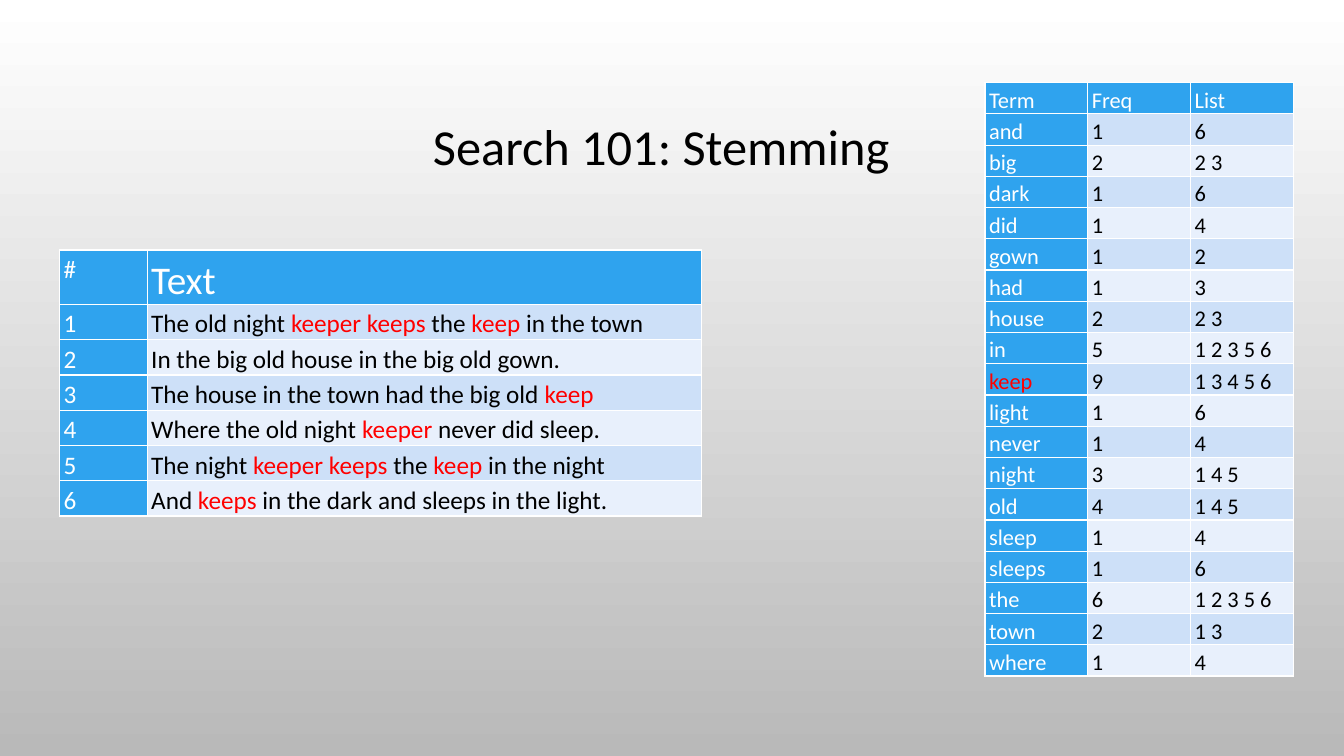
import pptx
import pptx.util
import pptx.dml.color
import pptx.enum.text
import pptx.oxml

TITLE = "Search 101: Stemming"
SENTENCES = [
    ("#", "Text"),
    ("1", "The old night *keeper keeps *the *keep* in the town"),
    ("2", "In the big old house in the big old gown."),
    ("3", "The house in the town had the big old *keep"),
    ("4", "Where the old night *keeper* never did sleep."),
    ("5", "The night *keeper keeps *the *keep* in the night"),
    ("6", "And *keeps* in the dark and sleeps in the light."),
]
TERMS = [
    ("Term", "Freq", "List"),
    ("and", "1", "6"),
    ("big", "2", "2 3"),
    ("dark", "1", "6"),
    ("did", "1", "4"),
    ("gown", "1", "2"),
    ("had", "1", "3"),
    ("house", "2", "2 3"),
    ("in", "5", "1 2 3 5 6"),
    ("*keep", "9", "1 3 4 5 6"),
    ("light", "1", "6"),
    ("never", "1", "4"),
    ("night", "3", "1 4 5"),
    ("old", "4", "1 4 5"),
    ("sleep", "1", "4"),
    ("sleeps", "1", "6"),
    ("the", "6", "1 2 3 5 6"),
    ("town", "2", "1 3"),
    ("where", "1", "4"),
]
FONT = "Calibri"
WHITE, BLACK, RED, BLUE = "FFFFFF", "000000", "FF0000", "2FA3EE"
BANDS = ("E8F0FC", "CDE0F8")
BACKDROP = (WHITE, "B9B9B9")
INCH = pptx.util.Inches


def rgb(value):
    return pptx.dml.color.RGBColor.from_string(value)


def add_runs(p, text, size, color):
    for i, part in enumerate(text.split("*")):
        if part:
            r = p.add_run()
            r.text = part
            r.font.name = FONT
            r.font.size = pptx.util.Pt(size)
            r.font.bold = False
            r.font.color.rgb = rgb(RED if i % 2 else color)


def add_borders(cell):
    tcPr = cell._tc.get_or_add_tcPr()
    for side in "LRTB":
        tcPr.append(pptx.oxml.parse_xml(
            f'<a:ln{side} xmlns:a="http://schemas.openxmlformats.org/drawingml/2006/main" w="12700">'
            f'<a:solidFill><a:srgbClr val="{WHITE}"/></a:solidFill></a:ln{side}>'))


def add_grid(s, rows, left, top, widths, header_height, row_height, size, header_sizes):
    heights = [header_height] + [row_height] * (len(rows) - 1)
    table = s.shapes.add_table(len(rows), len(widths), INCH(left), INCH(top),
                               INCH(sum(widths)), INCH(sum(heights))).table
    table.first_row = table.horz_banding = False
    for column, width in zip(table.columns, widths):
        column.width = INCH(width)
    for i, (row, height) in enumerate(zip(rows, heights)):
        table.rows[i].height = INCH(height)
        for j, text in enumerate(row):
            cell = table.cell(i, j)
            heading = i == 0 or j == 0
            cell.margin_left = cell.margin_right = INCH(0.04)
            cell.margin_top = cell.margin_bottom = 0
            add_borders(cell)
            cell.fill.solid()
            cell.fill.fore_color.rgb = rgb(BLUE if heading else BANDS[i % 2])
            p = cell.text_frame.paragraphs[0]
            p.line_spacing = 1.15
            add_runs(p, text, size if i else header_sizes[j], WHITE if heading else BLACK)


prs = pptx.Presentation()
prs.slide_width, prs.slide_height = INCH(13.33), INCH(7.5)
s = prs.slides.add_slide(prs.slide_layouts[6])

fill = s.background.fill
fill.gradient()
fill.gradient_angle = 270
for stop, position, color in zip(fill.gradient_stops, (0, 1), BACKDROP):
    stop.position = position
    stop.color.rgb = rgb(color)

tf = s.shapes.add_textbox(INCH(0.56), INCH(1.07), INCH(12), INCH(0.83)).text_frame
tf.word_wrap = True
tf.vertical_anchor = pptx.enum.text.MSO_ANCHOR.MIDDLE
p = tf.paragraphs[0]
p.alignment = pptx.enum.text.PP_ALIGN.CENTER
p.line_spacing = 0.9
add_runs(p, TITLE, 36, BLACK)

add_grid(s, TERMS, 9.77, 0.82, [1.02] * 3, 0.31, 0.31, 16, [16] * 3)
add_grid(s, SENTENCES, 0.59, 2.48, [0.87, 5.5], 0.54, 0.35, 18, [18, 28])

prs.save("out.pptx")
